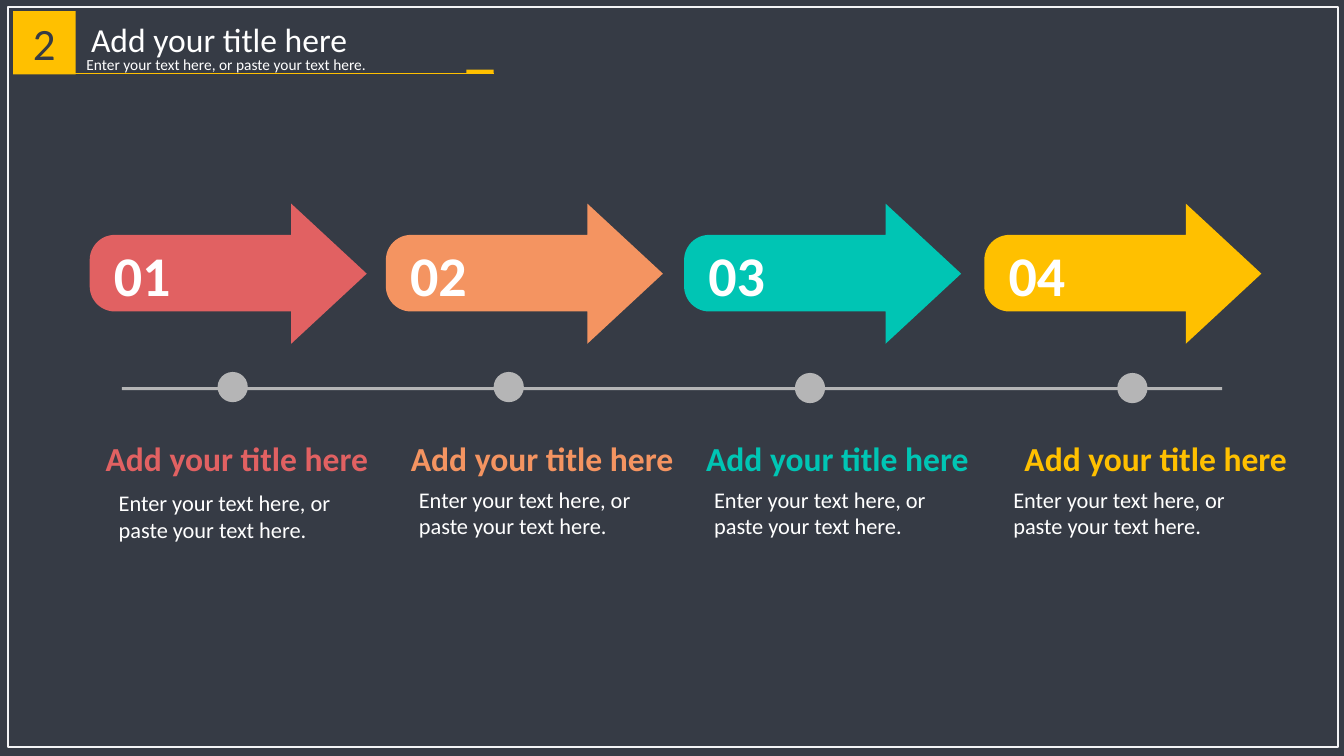
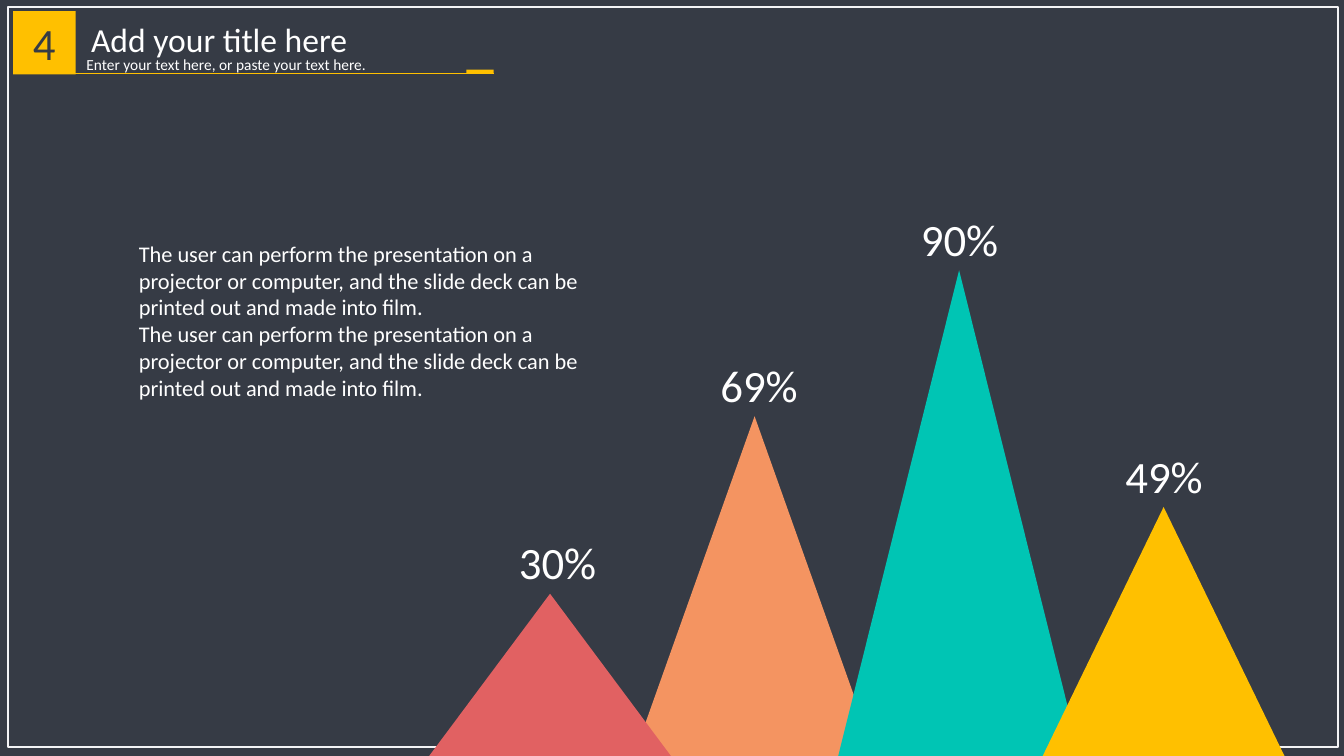
from dataclasses import dataclass
from math import cos, pi, sin

from lxml.etree import SubElement
from pptx import Presentation
from pptx.dml.color import RGBColor
from pptx.enum.shapes import MSO_CONNECTOR, MSO_SHAPE
from pptx.enum.text import MSO_ANCHOR, MSO_AUTO_SIZE, PP_ALIGN
from pptx.oxml.ns import qn
from pptx.presentation import Presentation as Deck
from pptx.shapes.autoshape import Shape
from pptx.slide import Slide
from pptx.text.text import TextFrame
from pptx.util import Inches, Pt

# Shared look
FONT = "Calibri"
DARK, WHITE, FRAME, GREY = "363B45", "FFFFFF", "F3F3F5", "B5B5B6"
RED, ORANGE, TEAL, YELLOW = "E16162", "F49461", "00C5B4", "FFC000"
HEADING = "Add your title here"
PROMPT = "Enter your text here, or paste your text here."
STATEMENT = (
    "The user can perform the presentation on a projector or computer, "
    "and the slide deck can be printed out and made into film."
)

# Arrow outline, measured from its own top left corner
ARROW_TOP, ARROW_WIDTH, ARROW_HEIGHT = 2.02, 2.75, 1.39
HEAD_START, SHAFT_TOP, SHAFT_BOTTOM, CORNER = 2.0, 0.31, 1.07, 0.25
CORNER_STEPS = 12

# Peaks
PEAK_LEFT, PEAK_STEP, PEAK_WIDTH, GROUND = 4.26, 2.03, 2.4, 7.5
LABEL_RISE = 0.63


@dataclass(frozen=True)
class Box:
    left: float
    top: float
    width: float
    height: float

    def emu(self) -> tuple[int, int, int, int]:
        return (Inches(self.left), Inches(self.top),
                Inches(self.width), Inches(self.height))


@dataclass(frozen=True)
class Step:
    number: str
    color: str
    arrow_left: float
    dot_left: float
    dot_top: float
    heading_left: float
    body_left: float
    body_top: float


@dataclass(frozen=True)
class Peak:
    column: int
    share: str
    height: float
    label_left: float
    color: str


STEPS = (
    Step("01", RED, 0.89, 2.16, 3.69, 0.95, 1.08, 4.8),
    Step("02", ORANGE, 3.83, 4.9, 3.69, 3.98, 4.06, 4.77),
    Step("03", TEAL, 6.79, 7.89, 3.7, 6.91, 6.99, 4.77),
    Step("04", YELLOW, 9.77, 11.09, 3.7, 10.07, 9.96, 4.77),
)

# Listed from back to front
PEAKS = (
    Peak(1, "69%", 3.37, 7.05, ORANGE),
    Peak(0, "30%", 1.61, 5.05, RED),
    Peak(2, "90%", 4.82, 9.04, TEAL),
    Peak(3, "49%", 2.47, 11.07, YELLOW),
)


def rgb(color: str) -> RGBColor:
    return RGBColor.from_string(color)


def write(frame: TextFrame, text: str, size: float, color: str = WHITE,
          bold: bool = False, align: PP_ALIGN = PP_ALIGN.LEFT,
          anchor: MSO_ANCHOR = MSO_ANCHOR.TOP, wrap: bool = True) -> None:
    frame.text = text
    frame.word_wrap = wrap
    frame.auto_size = MSO_AUTO_SIZE.NONE
    frame.vertical_anchor = anchor
    for paragraph in frame.paragraphs:
        paragraph.alignment = align
        for run in paragraph.runs:
            run.font.name = FONT
            run.font.size = Pt(size)
            run.font.bold = bold
            run.font.color.rgb = rgb(color)


def add_text(slide: Slide, box: Box, text: str, size: float,
             color: str = WHITE, bold: bool = False,
             align: PP_ALIGN = PP_ALIGN.LEFT, wrap: bool = True) -> None:
    textbox = slide.shapes.add_textbox(*box.emu())
    write(textbox.text_frame, text, size, color, bold, align, wrap=wrap)


def paint(shape: Shape, color: str) -> None:
    shape.shadow.inherit = False
    shape.fill.solid()
    shape.fill.fore_color.rgb = rgb(color)
    shape.line.fill.background()


def add_solid(slide: Slide, kind: MSO_SHAPE, box: Box, color: str) -> Shape:
    shape = slide.shapes.add_shape(kind, *box.emu())
    paint(shape, color)
    return shape


def add_base_slide(deck: Deck, number: str) -> Slide:
    """Add a slide with the frame, number badge, title and subtitle."""
    slide = deck.slides.add_slide(deck.slide_layouts[5])

    # Thin frame around the slide
    frame = slide.shapes.add_shape(
        MSO_SHAPE.RECTANGLE, *Box(0.08, 0.07, 13.2, 7.34).emu())
    frame.shadow.inherit = False
    frame.fill.background()
    frame.line.color.rgb = rgb(FRAME)
    frame.line.width = Pt(1)

    # Number badge
    badge = add_solid(slide, MSO_SHAPE.RECTANGLE,
                      Box(0.13, 0.11, 0.62, 0.63), YELLOW)
    write(badge.text_frame, number, 32, DARK,
          align=PP_ALIGN.CENTER, anchor=MSO_ANCHOR.MIDDLE)

    # Title and subtitle
    title = slide.shapes.title
    title.left, title.top, title.width, title.height = Box(
        0.68, 0.09, 2.99, 0.55).emu()
    write(title.text_frame, HEADING, 24,
          align=PP_ALIGN.CENTER, anchor=MSO_ANCHOR.MIDDLE)
    title.text_frame.paragraphs[0].line_spacing = 1.1
    add_text(slide, Box(0.76, 0.5, 3.86, 0.3), PROMPT, 11)

    # Underline with its accent
    underline = slide.shapes.add_connector(
        MSO_CONNECTOR.STRAIGHT,
        Inches(4.9), Inches(0.73), Inches(0.68), Inches(0.73))
    underline.line.color.rgb = rgb(YELLOW)
    underline.line.width = Pt(0.5)
    SubElement(underline._element.spPr, qn("a:effectLst"))
    add_solid(slide, MSO_SHAPE.RECTANGLE, Box(4.63, 0.69, 0.27, 0.04), YELLOW)
    return slide


def arrow_outline() -> list[tuple[float, float]]:
    """Points of a right arrow whose shaft has rounded left corners."""
    angles = [pi / 2 * i / CORNER_STEPS for i in range(CORNER_STEPS + 1)]
    upper = [(CORNER * (1 - sin(a)), SHAFT_TOP + CORNER * (1 - cos(a)))
             for a in angles]
    lower = [(x, SHAFT_TOP + SHAFT_BOTTOM - y) for x, y in reversed(upper)]
    return [(ARROW_WIDTH, ARROW_HEIGHT / 2), (HEAD_START, 0),
            (HEAD_START, SHAFT_TOP), *upper, *lower,
            (HEAD_START, SHAFT_BOTTOM), (HEAD_START, ARROW_HEIGHT)]


def add_arrow(slide: Slide, step: Step) -> None:
    points = [(Inches(step.arrow_left + x), Inches(ARROW_TOP + y))
              for x, y in arrow_outline()]
    builder = slide.shapes.build_freeform(*points[0])
    builder.add_line_segments(points[1:], close=True)
    arrow = builder.convert_to_shape()
    paint(arrow, step.color)
    write(arrow.text_frame, step.number, 40, bold=True,
          anchor=MSO_ANCHOR.MIDDLE)
    arrow.text_frame.margin_left = Inches(0.24)


def add_steps_slide(deck: Deck) -> None:
    slide = add_base_slide(deck, "2")
    add_solid(slide, MSO_SHAPE.RECTANGLE, Box(1.21, 3.84, 10.92, 0.03), GREY)
    for step in STEPS:
        add_arrow(slide, step)
        add_solid(slide, MSO_SHAPE.OVAL,
                  Box(step.dot_left, step.dot_top, 0.3, 0.3), GREY)
        add_text(slide, Box(step.heading_left, 4.3, 3.05, 0.5),
                 HEADING, 24, step.color, bold=True)
        add_text(slide, Box(step.body_left, step.body_top, 2.56, 0.64),
                 PROMPT, 16)


def add_peaks_slide(deck: Deck) -> None:
    slide = add_base_slide(deck, "4")
    for peak in PEAKS:
        left = PEAK_LEFT + peak.column * PEAK_STEP
        apex = GROUND - peak.height
        add_solid(slide, MSO_SHAPE.ISOSCELES_TRIANGLE,
                  Box(left, apex, PEAK_WIDTH, peak.height), peak.color)
        add_text(slide, Box(peak.label_left, apex - LABEL_RISE, 0.97, 0.64),
                 peak.share, 32, align=PP_ALIGN.CENTER, wrap=False)
    add_text(slide, Box(1.28, 2.33, 4.64, 1.72),
             f"{STATEMENT}\n{STATEMENT}", 16)


def main() -> None:
    deck = Presentation()
    deck.slide_width, deck.slide_height = Inches(13.34), Inches(7.5)
    backdrop = deck.slide_master.background.fill
    backdrop.solid()
    backdrop.fore_color.rgb = rgb(DARK)
    add_steps_slide(deck)
    add_peaks_slide(deck)
    deck.save("out.pptx")


if __name__ == "__main__":
    main()
